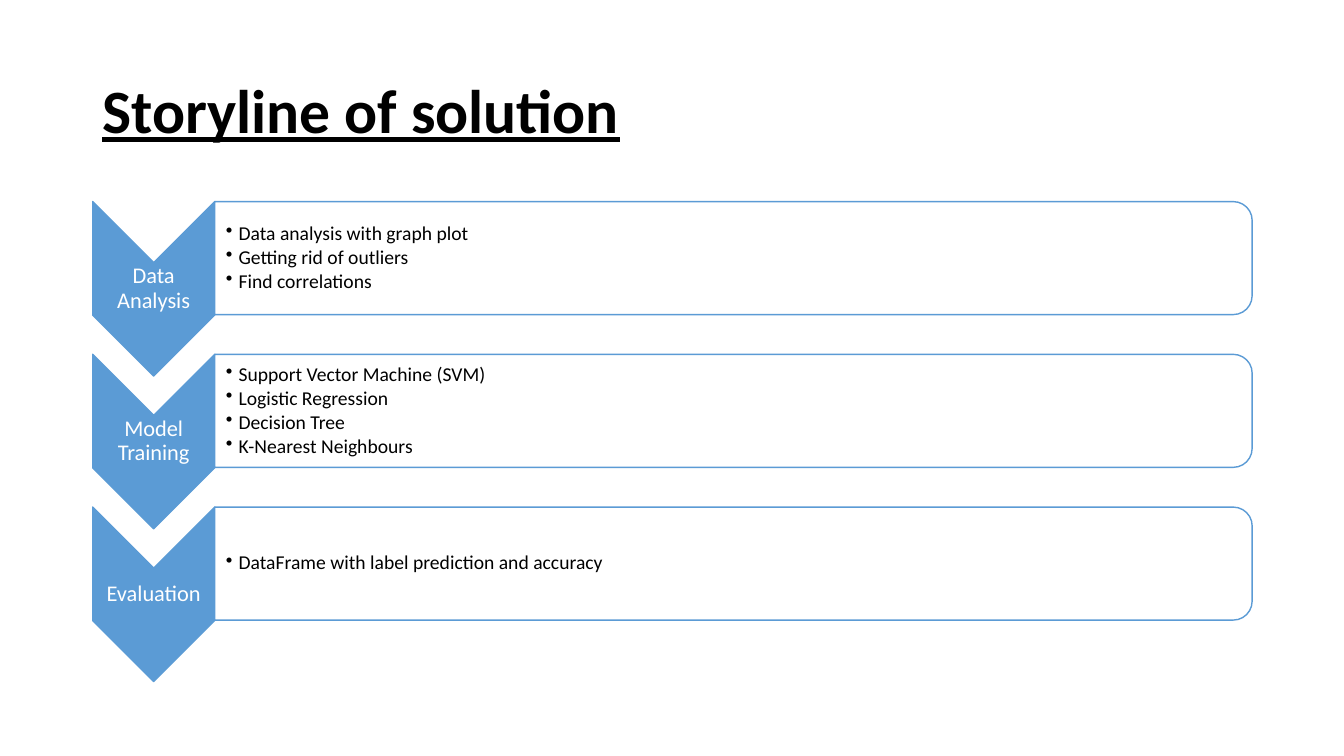
from dataclasses import dataclass

from lxml.etree import SubElement
from pptx import Presentation
from pptx.dml.color import RGBColor
from pptx.enum.shapes import MSO_SHAPE
from pptx.enum.text import MSO_ANCHOR, PP_ALIGN
from pptx.oxml.ns import qn
from pptx.util import Pt


@dataclass(frozen=True)
class Theme:
    font: str = "Calibri"
    accent: RGBColor = RGBColor(0x5B, 0x9B, 0xD5)
    dark: RGBColor = RGBColor(0, 0, 0)
    light: RGBColor = RGBColor(0xFF, 0xFF, 0xFF)
    title_size: int = 44
    stage_size: int = 16
    detail_size: int = 14
    line_spacing: float = 0.9


THEME = Theme()

STAGES = [
    ("Data Analysis",
     ["Data analysis with graph plot", "Getting rid of outliers",
      "Find correlations"]),
    ("Model Training",
     ["Support Vector Machine (SVM)", "Logistic Regression",
      "Decision Tree", "K-Nearest Neighbours"]),
    ("Evaluation", ["DataFrame with label prediction and accuracy"]),
]

# Row layout, in points
LEFT, TOP, PITCH = 66.2, 144, 109.1
ARROW_W, ARROW_H = 87.2, 124.6
PANEL_W, PANEL_H = 741, 80.7
PANEL_LEFT = LEFT + ARROW_W


def add_turned_shape(slide, preset, left, top, width, height, fill):
    """Preset turned a quarter clockwise so that it fills the given box."""
    shift = (width - height) / 2
    shape = slide.shapes.add_shape(preset, Pt(left + shift), Pt(top - shift),
                                   Pt(height), Pt(width))
    shape.rotation = 90
    shape.shadow.inherit = False
    shape.fill.solid()
    shape.fill.fore_color.rgb = fill
    shape.line.color.rgb = THEME.accent
    shape.line.width = Pt(1)


def add_text_frame(slide, left, top, width, height, inset_left, inset):
    frame = slide.shapes.add_textbox(Pt(left), Pt(top), Pt(width),
                                     Pt(height)).text_frame
    frame.word_wrap = True
    frame.vertical_anchor = MSO_ANCHOR.MIDDLE
    frame.margin_left = Pt(inset_left)
    frame.margin_top = frame.margin_right = frame.margin_bottom = Pt(inset)
    return frame


def write(paragraph, text, size, color, align=PP_ALIGN.LEFT):
    paragraph.alignment = align
    paragraph.line_spacing = THEME.line_spacing
    run = paragraph.add_run()
    run.text = text
    run.font.name = THEME.font
    run.font.size = Pt(size)
    run.font.color.rgb = color
    return run


def add_bullet(paragraph, indent=9):
    paragraph.space_after = Pt(2.1)
    properties = paragraph._p.get_or_add_pPr()
    properties.set("marL", str(Pt(indent)))
    properties.set("indent", str(-Pt(indent)))
    SubElement(properties, qn("a:buChar")).set("char", "•")


def add_title(slide, text):
    frame = add_text_frame(slide, 66, 28.75, 828, 104.4, 7.2, 3.6)
    run = write(frame.paragraphs[0], text, THEME.title_size, THEME.dark)
    run.font.bold = True
    run.font.underline = True


def add_stage(slide, top, name, details):
    # Arrow with the stage name
    add_turned_shape(slide, MSO_SHAPE.CHEVRON, LEFT, top, ARROW_W, ARROW_H,
                     THEME.accent)
    label = add_text_frame(slide, LEFT, top + ARROW_W / 2, ARROW_W,
                           ARROW_H - ARROW_W, 0.8, 0.8)
    write(label.paragraphs[0], name, THEME.stage_size, THEME.light,
          PP_ALIGN.CENTER)

    # Panel with the details
    add_turned_shape(slide, MSO_SHAPE.ROUND_2_SAME_RECTANGLE, PANEL_LEFT, top,
                     PANEL_W, PANEL_H, THEME.light)
    body = add_text_frame(slide, PANEL_LEFT, top + 4, PANEL_W - 4,
                          PANEL_H - 8, 8, 0.8)
    for index, detail in enumerate(details):
        paragraph = body.add_paragraph() if index else body.paragraphs[0]
        write(paragraph, detail, THEME.detail_size, THEME.dark)
        add_bullet(paragraph)


def main():
    deck = Presentation()
    deck.slide_width, deck.slide_height = Pt(960), Pt(540)
    slide = deck.slides.add_slide(deck.slide_layouts[6])

    add_title(slide, "Storyline of solution")
    for row, (name, details) in enumerate(STAGES):
        add_stage(slide, TOP + row * PITCH, name, details)

    deck.save("out.pptx")


main()
